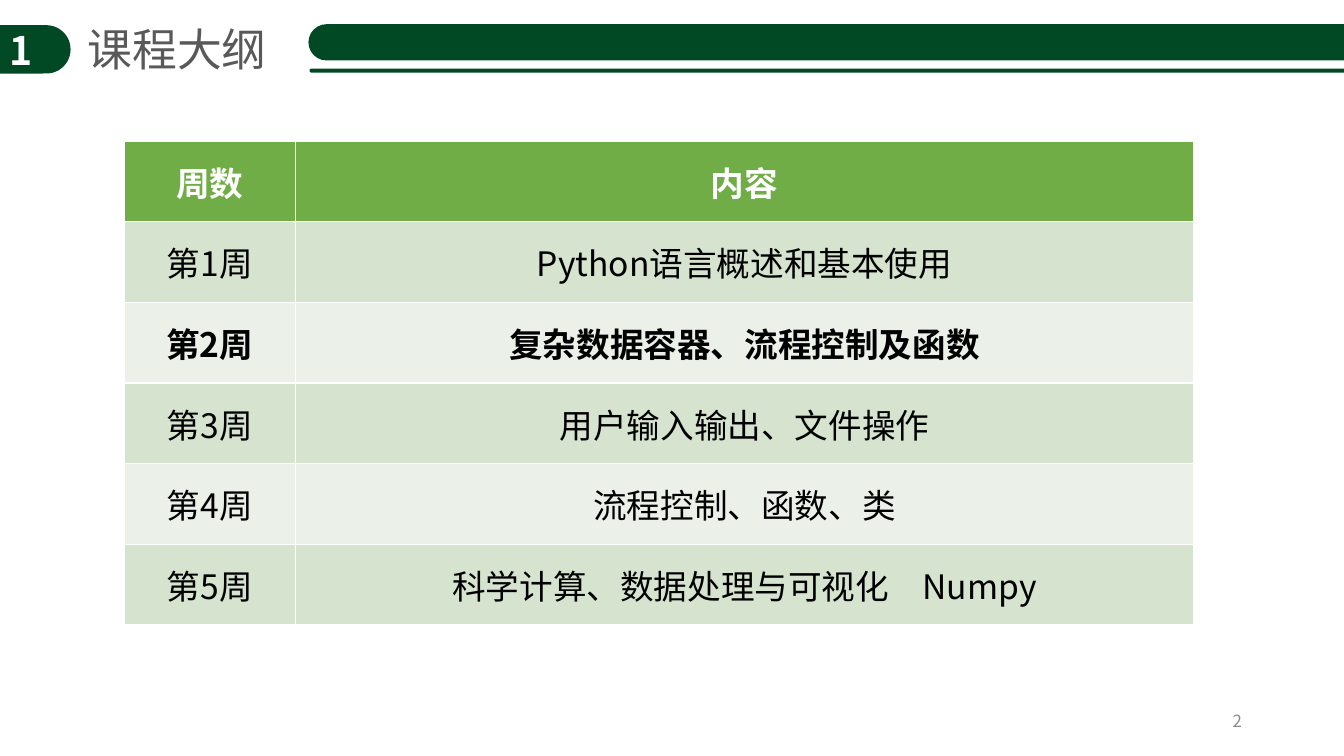
from pptx import Presentation
from pptx.dml.color import RGBColor as Rgb
from pptx.enum.shapes import MSO_SHAPE as Kind
from pptx.enum.text import MSO_ANCHOR as Anchor, PP_ALIGN as Align
from pptx.util import Inches, Pt
from lxml.etree import SubElement as Sub
from pptx.oxml.ns import qn

theme = {
    "font": "Noto Sans CJK SC",
    "dark": "014924", "head": "70AD47", "bands": ("D5E3CF", "EBF1E9"),
    "white": "FFFFFF", "black": "000000", "title": "595959", "page": "8C8C8C",
    "sizes": {"title": 32, "badge": 28, "cell": 24, "page": 12},
}

deck = Presentation()
deck.slide_width, deck.slide_height = Inches(13.333), Inches(7.5)
slide = deck.slides.add_slide(deck.slide_layouts[6])
shapes = slide.shapes
col, row = deck.slide_width / 100, deck.slide_height / 100


def place(x, y, w, h):
    return int(x * col), int(y * row), int(w * col), int(h * row)


def write(frame, text, size, color, bold=False, align=Align.CENTER):
    frame.vertical_anchor = Anchor.MIDDLE
    para = frame.paragraphs[0]
    para.text = text
    para.alignment = align
    font = para.font
    font.size, font.bold = Pt(theme["sizes"][size]), bold
    font.color.rgb = Rgb.from_string(theme[color])
    font.name = theme["font"]
    Sub(para._p.pPr.find(qn("a:defRPr")), qn("a:ea"), typeface=theme["font"])


bars = []
for box in [(-2.1, 3.33, 7.35, 6.4), (22.95, 3.2, 81, 4.8), (23.03, 9.07, 81, 0.53)]:
    bar = shapes.add_shape(Kind.ROUNDED_RECTANGLE, *place(*box))
    bar.adjustments[0] = 0.5
    bar.shadow.inherit = False
    bar.fill.solid()
    bar.fill.fore_color.rgb = Rgb.from_string(theme["dark"])
    bar.line.fill.background()
    bars.append(bar)
write(bars[0].text_frame, "1", "badge", "white", True)

title = shapes.add_textbox(*place(5.78, 2.13, 15, 8.53))
write(title.text_frame, "课程大纲", "title", "title", align=Align.LEFT)
page = shapes.add_textbox(*place(70.65, 92.67, 22.5, 5.33))
write(page.text_frame, "2", "page", "page", align=Align.RIGHT)

topics = [
    "Python语言概述和基本使用",
    "复杂数据容器、流程控制及函数",
    "用户输入输出、文件操作",
    "流程控制、函数、类",
    "科学计算、数据处理与可视化　Numpy",
]
lines = [("周数", "内容")]
lines += [(f"第{week}周", topic) for week, topic in enumerate(topics, 1)]
now = 2
widths = (12.75, 66.83)
table = shapes.add_table(
    len(lines), 2, *place(9.23, 18.67, sum(widths), 64)).table
for part, width in zip(table.columns, widths):
    part.width = int(width * col)
for r, line in enumerate(lines):
    for c, text in enumerate(line):
        cell = table.cell(r, c)
        cell.vertical_anchor = Anchor.MIDDLE
        cell.fill.solid()
        fill = theme["bands"][(r - 1) % 2] if r else theme["head"]
        cell.fill.fore_color.rgb = Rgb.from_string(fill)
        write(cell.text_frame, text, "cell", "black" if r else "white", r in (0, now))

deck.save("out.pptx")
